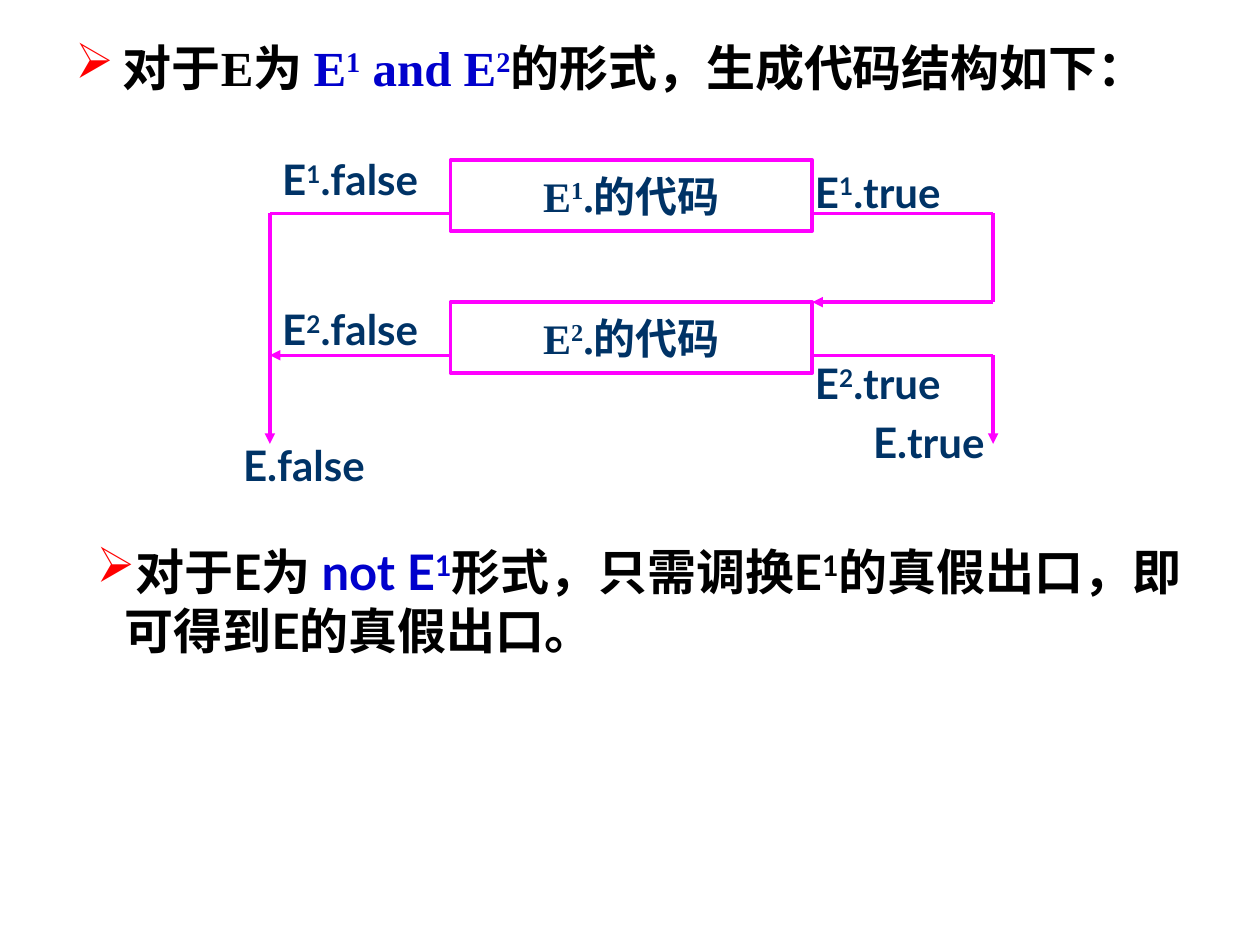
from lxml.etree import SubElement
from pptx import Presentation
from pptx.dml.color import RGBColor
from pptx.enum.shapes import MSO_CONNECTOR, MSO_SHAPE
from pptx.enum.text import MSO_ANCHOR, PP_ALIGN
from pptx.oxml.ns import qn
from pptx.util import Cm, Pt

COLORS = {"line": "FF00FF", "label": "003366", "text": "000000",
          "formula": "0000CC", "bullet": "FF0000", "fill": "FFFFFF"}
SERIF, SANS = "Times New Roman", "Lato"


def rgb(name):
    return RGBColor.from_string(COLORS[name])


def add_run(p, text, size, font, color, raised=False):
    r = p.add_run()
    r.text = text
    r.font.size = Pt(size)
    r.font.name = font
    r.font.bold = True
    r.font.color.rgb = rgb(color)
    if raised:
        r.font._element.set("baseline", "30000")


def add_text(p, text, size, font, color):
    """Add runs to p; the character after each ^ is a superscript."""
    plain, *parts = text.split("^")
    add_run(p, plain, size, font, color)
    for part in parts:
        add_run(p, part[0], size, font, color, raised=True)
        if part[1:]:
            add_run(p, part[1:], size, font, color)


def add_text_box(shapes, left, top, width, height):
    tf = shapes.add_textbox(Cm(left), Cm(top), Cm(width), Cm(height)).text_frame
    tf.word_wrap = True
    return tf.paragraphs[0]


def add_bullet(p, indent):
    pPr = p._p.get_or_add_pPr()
    pPr.set("marL", str(Cm(indent)))
    pPr.set("indent", str(-Cm(indent)))
    color = SubElement(pPr, qn("a:buClr"))
    SubElement(color, qn("a:srgbClr"), val=COLORS["bullet"])
    SubElement(pPr, qn("a:buChar"), char="➢")


def add_line(shapes, start, end, arrow):
    s = shapes.add_connector(MSO_CONNECTOR.STRAIGHT,
                             *(Cm(v) for v in (*start, *end)))
    s.line.color.rgb = rgb("line")
    s.line.width = Pt(2)
    if arrow:
        SubElement(s.line._get_or_add_ln(), qn("a:tailEnd"), type="triangle")
    SubElement(s._element.spPr, qn("a:effectLst"))


def add_route(shapes, points, arrow=True):
    """Join the points with straight lines, the last one with an arrowhead."""
    last = len(points) - 2
    for i, (start, end) in enumerate(zip(points, points[1:])):
        add_line(shapes, start, end, arrow and i == last)


def add_code_box(shapes, left, top, width, height, text):
    s = shapes.add_shape(MSO_SHAPE.RECTANGLE, Cm(left), Cm(top),
                         Cm(width), Cm(height))
    s.shadow.inherit = False
    s.fill.solid()
    s.fill.fore_color.rgb = rgb("fill")
    s.line.color.rgb = rgb("line")
    s.line.width = Pt(2)
    s.text_frame.vertical_anchor = MSO_ANCHOR.MIDDLE
    p = s.text_frame.paragraphs[0]
    p.alignment = PP_ALIGN.CENTER
    add_text(p, text, 24, SERIF, "label")


def add_flow(slide, left, top, width, height):
    shapes = slide.shapes.add_group_shape().shapes
    box_left, box_right = left + width / 4, left + width * 3 / 4
    right, bottom = left + width, top + height
    second_top = top + height / 2
    exit_1 = top + height * 3 / 16
    exit_2 = second_top + height * 3 / 16

    for box_top, text in ((top, "E^1.的代码"), (second_top, "E^2.的代码")):
        add_code_box(shapes, box_left, box_top, width / 2, height / 4, text)

    add_route(shapes, [(box_left, exit_1), (left, exit_1), (left, bottom)])
    add_route(shapes, [(box_left, exit_2), (left, exit_2)])
    add_route(shapes, [(box_right, exit_1), (right, exit_1),
                       (right, second_top), (box_right, second_top)])
    add_route(shapes, [(box_right, exit_2), (right, exit_2), (right, bottom)])

    labels = [("E^1.false", 0, -0.25), ("E^2.false", 0, 2.77),
              ("E.false", -0.79, 5.51), ("E^1.true", 10.74, 0),
              ("E^2.true", 10.74, 3.86), ("E.true", 11.91, 5.05)]
    for text, dx, dy in labels:
        p = add_text_box(shapes, left + dx, top + dy, 4.2, 1.27)
        add_text(p, text, 24, SANS, "label")


def add_bullet_text(slide, left, top, width, height, indent, parts):
    p = add_text_box(slide.shapes, left, top, width, height)
    add_bullet(p, indent)
    for text, font, color in parts:
        add_text(p, text, 28, font, color)


def main():
    prs = Presentation()
    prs.slide_width, prs.slide_height = Cm(25.4), Cm(19.05)
    slide = prs.slides.add_slide(prs.slide_layouts[6])
    add_flow(slide, 5.44, 3.23, 14.58, 5.72)
    add_bullet_text(slide, 1.27, 0.64, 23.09, 1.47, 0.96, [
        ("对于E为 ", SERIF, "text"),
        ("E^1 and E^2", SERIF, "formula"),
        ("的形式，生成代码结构如下：", SERIF, "text")])
    add_bullet_text(slide, 1.7, 10.8, 22.43, 2.64, 0.57, [
        ("对于", SERIF, "text"),
        ("E", SANS, "text"),
        ("为 ", SERIF, "text"),
        ("not E^1", SANS, "formula"),
        ("形式，只需调换", SERIF, "text"),
        ("E^1", SANS, "text"),
        ("的真假出口，即可得到", SERIF, "text"),
        ("E", SANS, "text"),
        ("的真假出口。", SERIF, "text")])
    prs.save("out.pptx")


if __name__ == "__main__":
    main()
